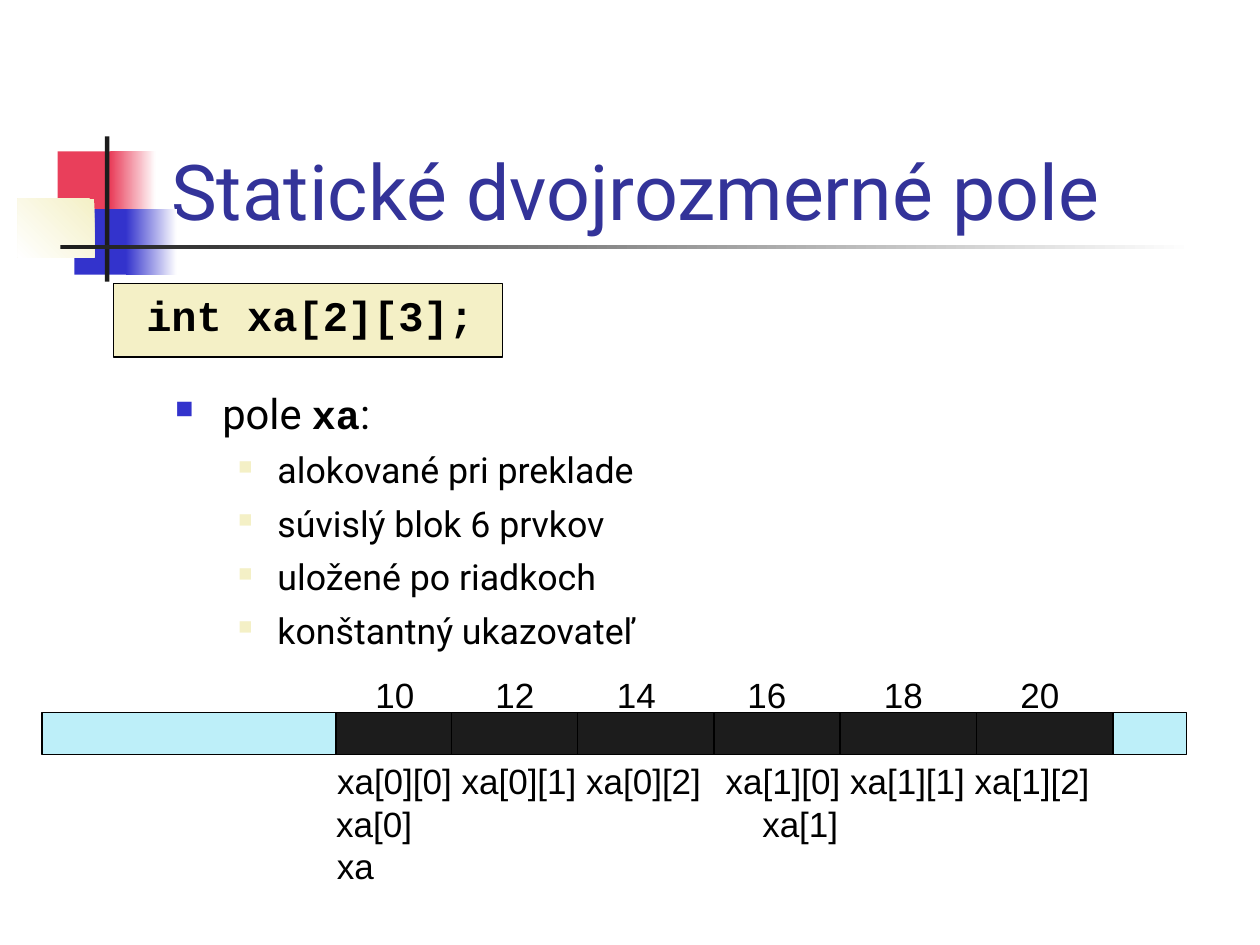
from lxml import etree
from pptx import Presentation
from pptx.dml.color import RGBColor
from pptx.enum.shapes import MSO_CONNECTOR, MSO_SHAPE
from pptx.enum.text import MSO_ANCHOR, MSO_AUTO_SIZE, PP_ALIGN
from pptx.oxml.ns import qn
from pptx.util import Pt

RECT = MSO_SHAPE.RECTANGLE
LINE = MSO_CONNECTOR.STRAIGHT
COLORS = {
    "red": "E93F5B", "blue": "3333CC", "cream": "F4F0C6", "dark": "1C1C1C",
    "title": "333399", "sky": "BDEFF9", "black": "000000", "white": "FFFFFF",
}
RGB = {name: RGBColor.from_string(code) for name, code in COLORS.items()}

prs = Presentation()
prs.slide_width, prs.slide_height = Pt(720), Pt(540)
slide = prs.slides.add_slide(prs.slide_layouts[5])
shapes = slide.shapes


def block(x, y, w, h, color, fade=None, edge=False):
    """Add a rectangle; fade is the angle of a gradient to white."""
    box = shapes.add_shape(RECT, Pt(x), Pt(y), Pt(w), Pt(h))
    box.shadow.inherit = False
    if fade is None:
        box.fill.solid()
        box.fill.fore_color.rgb = RGB[color]
    else:
        box.fill.gradient()
        box.fill.gradient_angle = fade
        for stop, name in zip(box.fill.gradient_stops, (color, "white")):
            stop.color.rgb = RGB[name]
    if edge:
        box.line.color.rgb = RGB["black"]
        box.line.width = Pt(0.75)
    else:
        box.line.fill.background()


def label(text, x, y, w, h=31.5, size=20, face="Arial", bold=False):
    box = shapes.add_textbox(Pt(x), Pt(y), Pt(w), Pt(h))
    frame = box.text_frame
    frame.word_wrap = False
    frame.text = text
    font = frame.paragraphs[0].runs[0].font
    font.size, font.name, font.bold = Pt(size), face, bold
    font.color.rgb = RGB["black"]


# Corner ornament and rule
block(33, 86.5, 35, 37.5, "red")
block(63, 86.5, 26, 37.5, "red", fade=0)
block(42.5, 119.5, 33, 37.5, "blue")
block(72, 119.5, 29, 37.5, "blue", fade=0)
block(10, 113.5, 44, 33.5, "cream", fade=225)
block(60, 78, 2.5, 83, "dark")
block(34.5, 140, 648, 2.5, "dark", fade=0)

# Title
title = shapes.title
title.left, title.top, title.width, title.height = Pt(90.7), Pt(48.2), Pt(613.5), Pt(90)
frame = title.text_frame
frame.text = "Statické dvojrozmerné pole"
frame.auto_size = MSO_AUTO_SIZE.NONE
frame.vertical_anchor = MSO_ANCHOR.BOTTOM
head = frame.paragraphs[0]
head.alignment = PP_ALIGN.LEFT
font = head.runs[0].font
font.size, font.name = Pt(44), "Roboto"
font.color.rgb = RGB["title"]

# Bullet list: level, bullet colour, bullet size, runs
items = [(0, "blue", 60, ["pole ", "xa", ":"])]
items += [(1, "cream", 55, [text]) for text in (
    "alokované pri preklade", "súvislý blok 6 prvkov",
    "uložené po riadkoch", "konštantný ukazovateľ")]
frame = shapes.add_textbox(Pt(93), Pt(218), Pt(612), Pt(158)).text_frame
frame.word_wrap = True
for i, (level, color, pct, texts) in enumerate(items):
    para = frame.add_paragraph() if i else frame.paragraphs[0]
    para.level = level
    if i:
        para.space_before = Pt(6)
    props = para._p.get_or_add_pPr()
    left, hang = ((27, 27), (58.5, 22.5))[level]
    props.set("marL", str(Pt(left)))
    props.set("indent", str(-Pt(hang)))
    tint = etree.SubElement(props, qn("a:buClr"))
    etree.SubElement(tint, qn("a:srgbClr"), val=COLORS[color])
    etree.SubElement(props, qn("a:buSzPct"), val=str(pct * 1000))
    etree.SubElement(props, qn("a:buChar"), char="■")
    for text in texts:
        run = para.add_run()
        run.text = text
        code = text == "xa"
        run.font.name = "Courier New" if code else "Roboto"
        run.font.size = Pt(22.9 if code else 20.4 if level else 23.8)
        run.font.bold = code
        run.font.color.rgb = RGB["black"]

# Declaration
block(65, 162, 222, 42, "cream", edge=True)
label("int xa[2][3];", 76.5, 162, 209.5, 36, 24, "Courier New", True)

# Memory strip
top, high = 407, 24
for x, end, color in ((192, 636, "dark"), (636, 678, "sky"), (24, 192, "sky")):
    block(x, top, end - x, high, color, edge=True)
for x in (258, 330, 408, 480, 558):
    line = shapes.add_connector(LINE, Pt(x), Pt(top), Pt(x), Pt(top + high))
    line.line.color.rgb = RGB["black"]
    line.line.width = Pt(0.75)
    etree.SubElement(line._element.spPr, qn("a:effectLst"))

# Addresses above, names below
for i, x in enumerate((207.5, 276, 345.5, 420, 498, 576)):
    label(str(10 + 2 * i), x, 381.5, 36.5)
for row, x in enumerate((185.5, 407.5)):
    label(" ".join(f"xa[{row}][{col}]" for col in range(3)), x, 430.5, 222.5)
for text, x, y, w in (("xa[0]", 185, 455, 58), ("xa[1]", 428.5, 455, 58),
                      ("xa", 185.5, 479, 35.5)):
    label(text, x, y, w)

prs.save("out.pptx")
